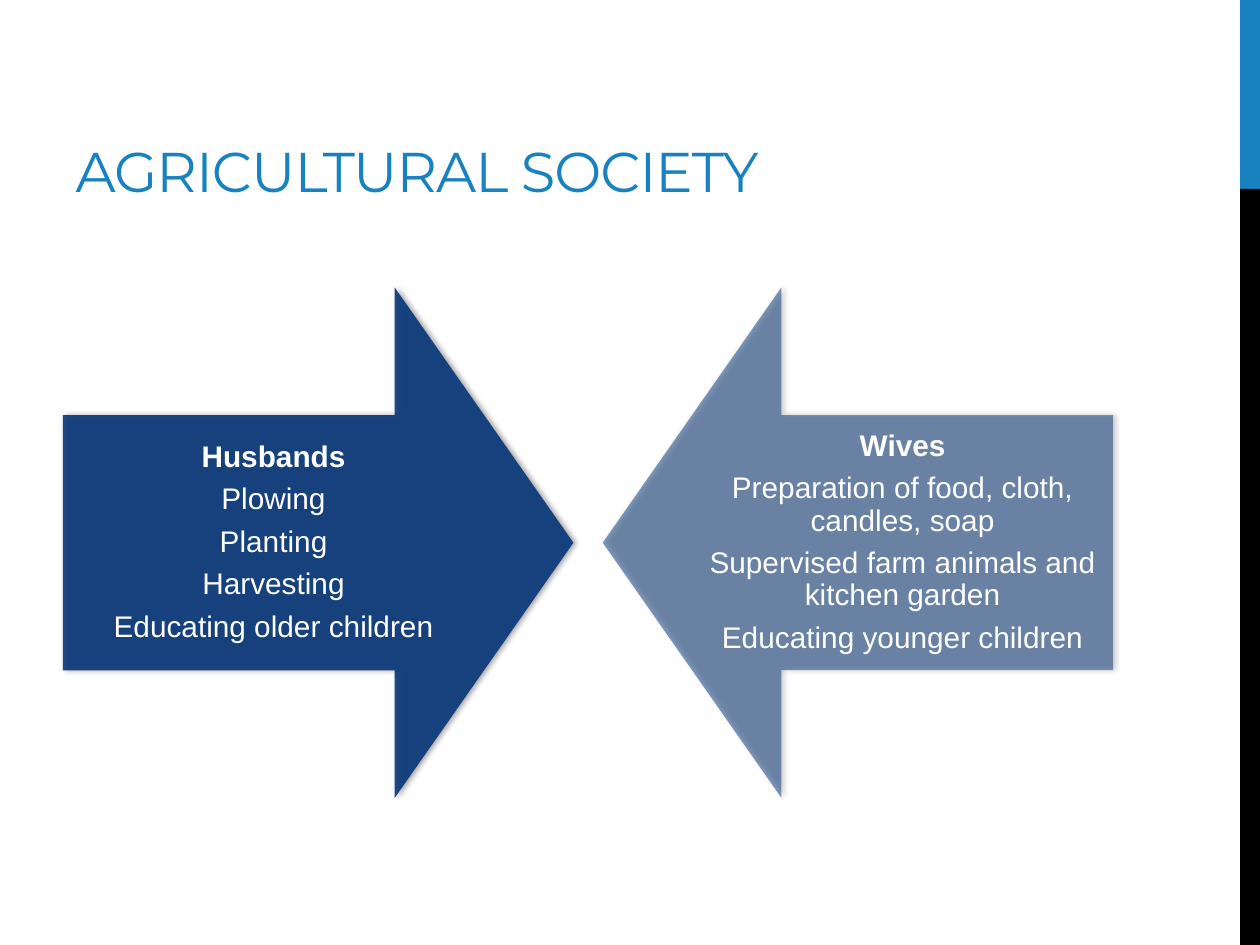
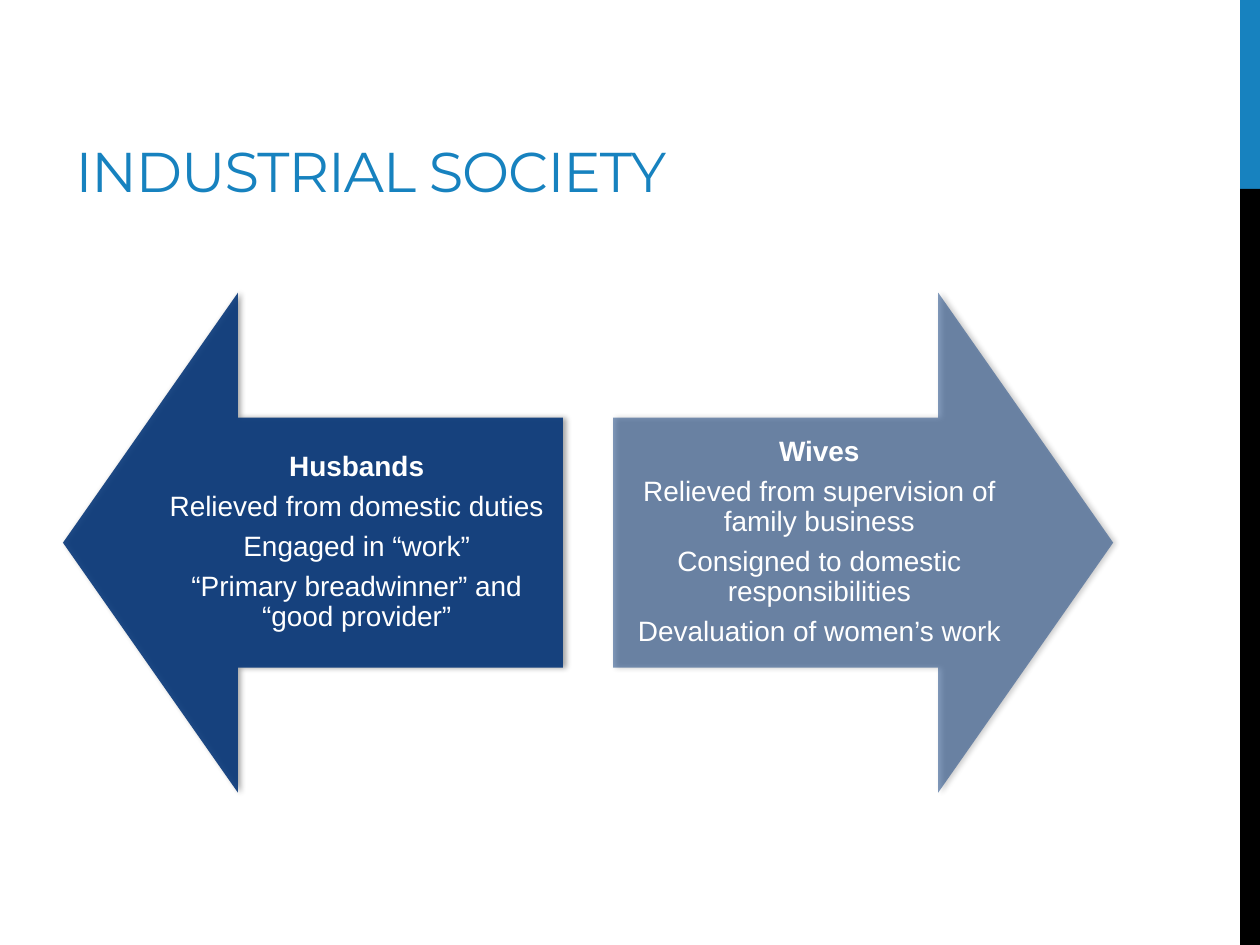
from lxml import etree
from pptx import Presentation
from pptx import util as u
from pptx.dml.color import RGBColor
from pptx.enum import shapes, text
from pptx.oxml import ns

BLUE, BLACK, NAVY, WHITE = "1782BF", "000000", "073779", "FFFFFF"
BANDS = [(BLUE, 0, 3.81), (BLACK, 3.81, 15.24)]
BAND_LEFT, BAND_WIDTH = 25, 0.4
TITLE_AREA = (1.27, 0.43, 16.08, 3.81)
LEFT_EDGE, RIGHT_EDGE, MIDDLE = 1.27, 22.44, 10.94
ROTATIONS, OPACITIES = (270, 90), (90, 50)
TEXT_SHARE = 0.825
DOWN, UP = shapes.MSO_SHAPE.DOWN_ARROW, shapes.MSO_SHAPE.UP_ARROW

TITLE_FONT = {"name": "Montserrat", "size": u.Pt(32), "bold": False}
TITLE_FRAME = {
    "vertical_anchor": text.MSO_ANCHOR.BOTTOM,
    "auto_size": text.MSO_AUTO_SIZE.NONE,
    "word_wrap": True,
}
DUTY_FRAME = {"vertical_anchor": text.MSO_ANCHOR.MIDDLE, "word_wrap": True}

SOCIETIES = [
    {
        "title": "AGRICULTURAL SOCIETY",
        "arrow": DOWN,
        "side": 10.29,
        "size": 17,
        "duties": [
            ["Husbands", "Plowing", "Planting", "Harvesting", "Educating older children"],
            ["Wives", "Preparation of food, cloth, candles, soap",
             "Supervised farm animals and kitchen garden", "Educating younger children"],
        ],
    },
    {
        "title": "INDUSTRIAL SOCIETY",
        "arrow": UP,
        "side": 10.08,
        "size": 16,
        "duties": [
            ["Husbands", "Relieved from domestic duties", "Engaged in “work”",
             "“Primary breadwinner” and “good provider”"],
            ["Wives", "Relieved from supervision of family business",
             "Consigned to domestic responsibilities", "Devaluation of women’s work"],
        ],
    },
]


def colour(value):
    return RGBColor.from_string(value)


def apply(target, values):
    for name, value in values.items():
        setattr(target, name, value)


def area(*lengths):
    return [u.Cm(length) for length in lengths]


def child(parent, tag, **attributes):
    node = etree.SubElement(parent, ns.qn(tag))
    for name, value in attributes.items():
        node.set(name, str(value))
    return node


def add_solid(page, preset, place, fill):
    shape = page.shapes.add_shape(preset, *area(*place))
    shape.shadow.inherit = False
    shape.fill.solid()
    shape.fill.fore_color.rgb = colour(fill)
    shape.line.fill.background()
    return shape


def add_title(page, wording):
    box = page.shapes.title
    apply(box, dict(zip(("left", "top", "width", "height"), area(*TITLE_AREA))))
    apply(box.text_frame, TITLE_FRAME)
    para = box.text_frame.paragraphs[0]
    para.alignment = text.PP_ALIGN.LEFT
    span = para.add_run()
    span.text = wording
    apply(span.font, TITLE_FONT)
    span.font.color.rgb = colour(BLUE)
    next(box.element.iter(ns.qn("a:rPr"))).set("spc", "-60")


def add_arrow(page, preset, place, rotation, opacity):
    arrow = add_solid(page, preset, place, NAVY)
    arrow.rotation = rotation
    arrow.adjustments[0], arrow.adjustments[1] = 0.5, 0.35
    tint = next(arrow.element.iter(ns.qn("a:srgbClr")))
    child(tint, "a:alpha", val=opacity * 1000)
    effects = next(arrow.element.iter(ns.qn("a:effectLst")))
    shadow = child(effects, "a:outerShdw", blurRad=u.Pt(3.1), dist=u.Pt(1.8),
                   dir=0, rotWithShape=0)
    child(child(shadow, "a:srgbClr", val=BLACK), "a:alpha", val=40000)


def add_duties(page, place, lines, size):
    frame = page.shapes.add_textbox(*area(*place)).text_frame
    apply(frame, DUTY_FRAME)
    edges = ("left", "top", "right", "bottom")
    apply(frame, {f"margin_{edge}": u.Pt(size * 0.56) for edge in edges})
    for index, line in enumerate(lines):
        para = frame.add_paragraph() if index else frame.paragraphs[0]
        apply(para, {"alignment": text.PP_ALIGN.CENTER, "line_spacing": 0.9,
                     "space_after": u.Pt(size * 0.35)})
        span = para.add_run()
        span.text = line
        apply(span.font, {"name": "Arial", "size": u.Pt(size), "bold": index == 0})
        span.font.color.rgb = colour(WHITE)


def add_society(deck, society):
    page = deck.slides.add_slide(deck.slide_layouts[5])
    for fill, top, height in BANDS:
        add_solid(page, shapes.MSO_SHAPE.RECTANGLE,
                  (BAND_LEFT, top, BAND_WIDTH, height), fill)
    add_title(page, society["title"])
    side, preset = society["side"], society["arrow"]
    width = side * TEXT_SHARE
    lefts = (LEFT_EDGE, RIGHT_EDGE - side)
    for index, (left, lines) in enumerate(zip(lefts, society["duties"])):
        add_arrow(page, preset, (left, MIDDLE - side / 2, side, side),
                  ROTATIONS[index], OPACITIES[index])
        points_right = (index == 0) == (preset == DOWN)
        text_left = left if points_right else left + side - width
        add_duties(page, (text_left, MIDDLE - side / 4, width, side / 2),
                   lines, society["size"])


def main():
    """Build the two slides on the division of labour and save the deck."""
    deck = Presentation()
    deck.slide_width, deck.slide_height = area(25.4, 19.05)
    for society in SOCIETIES:
        add_society(deck, society)
    deck.save("out.pptx")


if __name__ == "__main__":
    main()
